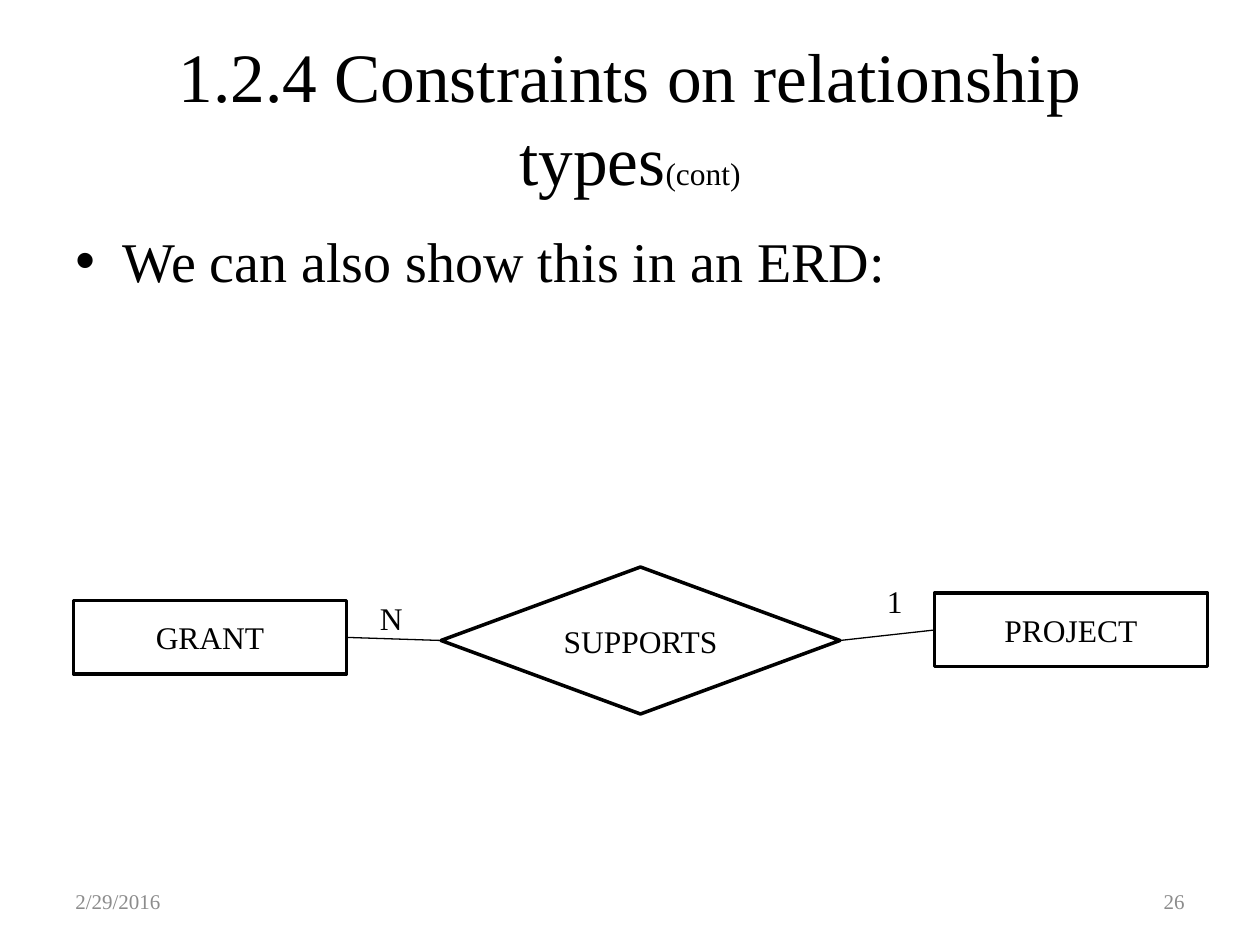
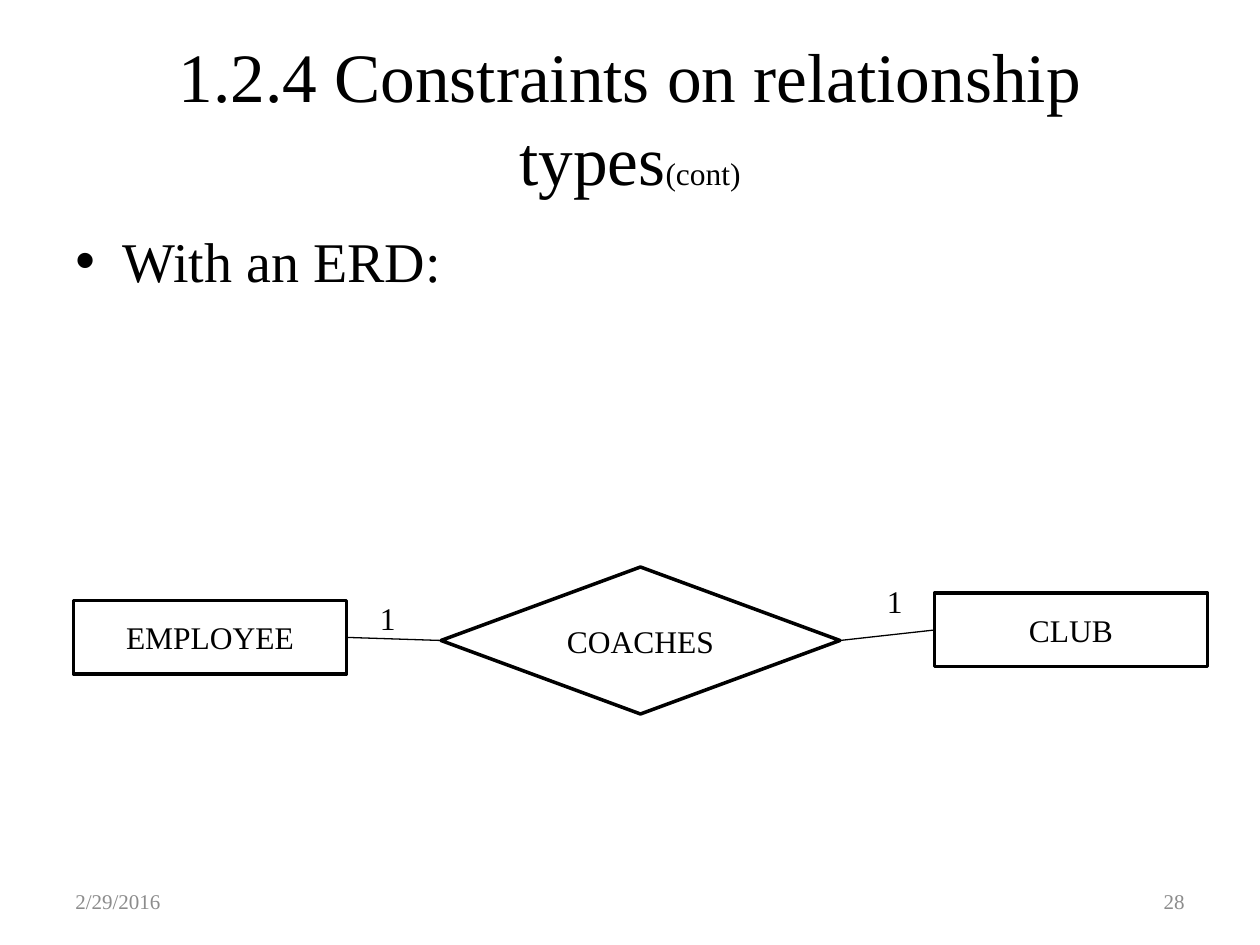
import pptx
import pptx.util
import pptx.dml.color
import pptx.enum.shapes
import pptx.enum.text
import lxml.etree
from dataclasses import dataclass

Pt = pptx.util.Pt
Color = pptx.dml.color.RGBColor
Shape = pptx.enum.shapes.MSO_SHAPE
Align = pptx.enum.text.PP_ALIGN
Anchor = pptx.enum.text.MSO_ANCHOR

TITLE, TITLE_SUFFIX = "1.2.4 Constraints on relationship types", "(cont)"
DATE = "2/29/2016"
SLIDES = [
    {"lead": "We can also show this in an ERD:", "number": "26",
     "entities": ("GRANT", "PROJECT"), "relationship": "SUPPORTS", "cardinalities": ("N", "1")},
    {"lead": "With an ERD:", "number": "28",
     "entities": ("EMPLOYEE", "CLUB"), "relationship": "COACHES", "cardinalities": ("1", "1")},
]


@dataclass(frozen=True)
class Theme:
    font: str = "Times New Roman"
    ink: Color = Color(0, 0, 0)
    muted: Color = Color(0x8C, 0x8C, 0x8C)
    title: float = 39.6
    lead: float = 32
    label: float = 18
    footer: float = 12
    outline: float = 2
    link: float = 0.75


theme = Theme()
WIDTH, HEIGHT, MARGIN = 720, 540, 36
CONTENT_WIDTH = WIDTH - 2 * MARGIN
FOOTER_TOP, FOOTER_WIDTH, FOOTER_HEIGHT = 500.5, 168, 28.75
ENTITY_SIZE = (156, 42)
ENTITY_PLACES = ((42, 343.25), (534, 339))
DIAMOND = (252, 324, 228, 84)
CARDINALITY_PLACES = ((210, 339), (499.75, 329))
CARDINALITY_SIZE = (30, 29)


def set_text(shape, text, size, color=theme.ink, align=Align.LEFT, anchor=Anchor.MIDDLE):
    frame = shape.text_frame
    frame.word_wrap = True
    frame.vertical_anchor = anchor
    paragraph = frame.paragraphs[0]
    paragraph.text = text
    paragraph.alignment = align
    paragraph.font.name = theme.font
    paragraph.font.size = Pt(size)
    paragraph.font.color.rgb = color
    return paragraph


def add_text(slide, box, text, size, **style):
    return set_text(slide.shapes.add_textbox(*map(Pt, box)), text, size, **style)


def add_node(slide, kind, box, text):
    shape = slide.shapes.add_shape(kind, *map(Pt, box))
    shape.shadow.inherit = False
    shape.fill.background()
    shape.line.color.rgb = theme.ink
    shape.line.width = Pt(theme.outline)
    set_text(shape, text, theme.label, align=Align.CENTER)
    return shape


def add_link(slide, entity, entity_site, diamond, diamond_site):
    link = slide.shapes.add_connector(pptx.enum.shapes.MSO_CONNECTOR.STRAIGHT, 0, 0, 0, 0)
    link.begin_connect(entity, entity_site)
    link.end_connect(diamond, diamond_site)
    link.line.color.rgb = theme.ink
    link.line.width = Pt(theme.link)
    lxml.etree.SubElement(link._element.spPr, pptx.oxml.ns.qn("a:effectLst"))


def add_bullet(paragraph, indent):
    properties = paragraph._p.get_or_add_pPr()
    properties.set("marL", str(Pt(indent)))
    properties.set("indent", str(-Pt(indent)))
    font = lxml.etree.SubElement(properties, pptx.oxml.ns.qn("a:buFont"))
    font.set("typeface", "Arial")
    bullet = lxml.etree.SubElement(properties, pptx.oxml.ns.qn("a:buChar"))
    bullet.set("char", "\u2022")
    properties.append(properties.find(pptx.oxml.ns.qn("a:defRPr")))


def add_frame(slide, lead, number):
    title = add_text(slide, (MARGIN, 21.6, CONTENT_WIDTH, 90), TITLE, theme.title, align=Align.CENTER)
    suffix = title.add_run()
    suffix.text = TITLE_SUFFIX
    suffix.font.size = Pt(theme.label)
    body = add_text(slide, (MARGIN, 126, CONTENT_WIDTH, 356.4), lead, theme.lead, anchor=Anchor.TOP)
    body.space_before = Pt(0.2 * theme.lead)
    add_bullet(body, 27)
    for left, text, align in ((MARGIN, DATE, Align.LEFT),
                              (WIDTH - MARGIN - FOOTER_WIDTH, number, Align.RIGHT)):
        add_text(slide, (left, FOOTER_TOP, FOOTER_WIDTH, FOOTER_HEIGHT), text, theme.footer,
                 color=theme.muted, align=align)


def add_diagram(slide, entities, relationship, cardinalities):
    diamond = add_node(slide, Shape.FLOWCHART_DECISION, DIAMOND, relationship)
    left, right = [add_node(slide, Shape.RECTANGLE, place + ENTITY_SIZE, name)
                   for place, name in zip(ENTITY_PLACES, entities)]
    add_link(slide, left, 3, diamond, 1)
    add_link(slide, right, 1, diamond, 3)
    for place, text in zip(CARDINALITY_PLACES, cardinalities):
        add_text(slide, place + CARDINALITY_SIZE, text, theme.label, anchor=Anchor.TOP)


presentation = pptx.Presentation()
presentation.slide_width, presentation.slide_height = Pt(WIDTH), Pt(HEIGHT)
for content in SLIDES:
    slide = presentation.slides.add_slide(presentation.slide_layouts[6])
    add_frame(slide, content["lead"], content["number"])
    add_diagram(slide, content["entities"], content["relationship"], content["cardinalities"])
presentation.save("out.pptx")
